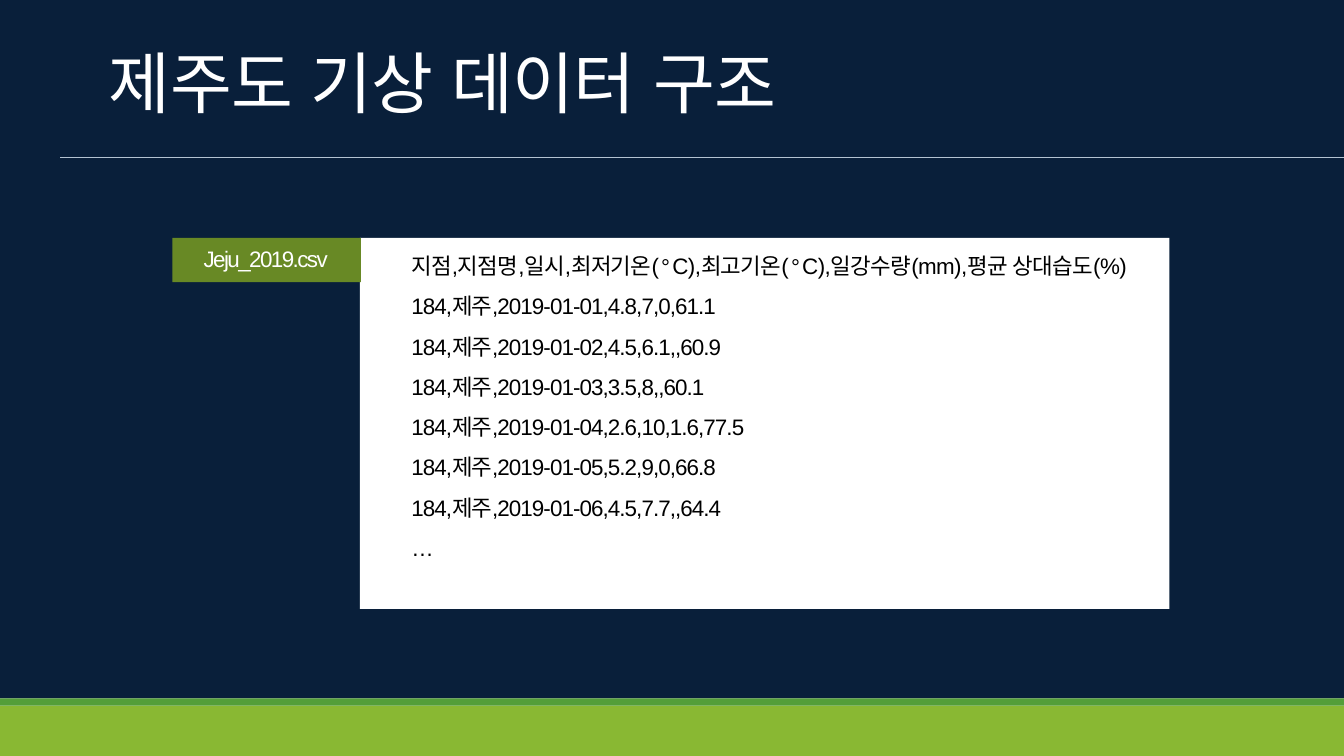
from itertools import cycle

from lxml import etree
from pptx import Presentation
from pptx.dml.color import RGBColor
from pptx.enum.shapes import MSO_CONNECTOR, MSO_SHAPE
from pptx.enum.text import MSO_ANCHOR, MSO_AUTO_SIZE, PP_ALIGN
from pptx.oxml.ns import qn
from pptx.util import Inches, Pt

RECTANGLE = MSO_SHAPE.RECTANGLE
STRAIGHT = MSO_CONNECTOR.STRAIGHT
TOP = MSO_ANCHOR.TOP
LEFT = PP_ALIGN.LEFT
NO_RESIZE = MSO_AUTO_SIZE.NONE
TITLE_ONLY = 5

COLORS = {
    "navy": "091F3A",
    "lime": "89B833",
    "green": "539E39",
    "olive": "688925",
    "rule": "B4C3D2",
    "white": "FFFFFF",
    "black": "000000",
}
KOREAN, LATIN = "Courier New", "Arial"

HEADER = [
    "지점", ",", "지점명", ",", "일시", ",", "최저기온", "(", "°", "C),",
    "최고기온", "(", "°", "C),", "일강수량", "(mm),", "평균 상대습도", "(%)",
]
RECORDS = [
    "2019-01-01,4.8,7,0,61.1",
    "2019-01-02,4.5,6.1,,60.9",
    "2019-01-03,3.5,8,,60.1",
    "2019-01-04,2.6,10,1.6,77.5",
    "2019-01-05,5.2,9,0,66.8",
    "2019-01-06,4.5,7.7,,64.4",
]


class SlideBuilder:
    def __init__(self, deck):
        self.page = deck.slides.add_slide(deck.slide_layouts[TITLE_ONLY])

    def color(self, name):
        return RGBColor.from_string(COLORS[name])

    def box(self, left, top, width, height, fill, inset=0):
        shape = self.page.shapes.add_shape(
            RECTANGLE, Inches(left), Inches(top), Inches(width), Inches(height)
        )
        shape.shadow.inherit = False
        shape.fill.solid()
        shape.fill.fore_color.rgb = self.color(fill)
        shape.line.fill.background()
        self.frame(shape, inset)
        return shape

    def frame(self, shape, inset):
        frame = shape.text_frame
        frame.word_wrap = True
        frame.auto_size = NO_RESIZE
        frame.vertical_anchor = TOP
        frame.margin_left = frame.margin_right = frame.margin_bottom = 0
        frame.margin_top = Inches(inset)

    def rule(self, left, right, top, color, weight):
        line = self.page.shapes.add_connector(
            STRAIGHT, Inches(left), Inches(top), Inches(right), Inches(top)
        )
        line.line.color.rgb = self.color(color)
        line.line.width = Pt(weight)
        etree.SubElement(line._element.spPr, qn("a:effectLst"))

    def title(self, left, top, width, height, text):
        shape = self.page.shapes.title
        shape.left, shape.top = Inches(left), Inches(top)
        shape.width, shape.height = Inches(width), Inches(height)
        self.page.shapes._spTree.append(shape._element)
        self.frame(shape, 0.01)
        self.para(shape, [(text, KOREAN)], 48, "white", -0.4, 0.01, 1)

    def para(self, shape, runs, size, color, tracking, indent, before):
        frame = shape.text_frame
        para = frame.paragraphs[0] if not frame.text else frame.add_paragraph()
        para.alignment = LEFT
        para.space_before = Pt(before)
        properties = para._p.get_or_add_pPr()
        properties.set("marL", str(Inches(indent)))
        properties.set("indent", "0")
        for text, typeface in runs:
            span = para.add_run()
            span.text = text
            span.font.name = typeface
            span.font.size = Pt(size)
            span.font.color.rgb = self.color(color)
            style = span._r.get_or_add_rPr()
            style.set("spc", str(round(tracking * 100)))
            etree.SubElement(style, qn("a:ea")).set("typeface", LATIN)


def main():
    deck = Presentation()
    deck.slide_width, deck.slide_height = Inches(13.33), Inches(7.5)
    slide = SlideBuilder(deck)

    slide.box(0, 0, 13.33, 6.93, "navy")
    slide.box(0, 7, 13.33, 0.5, "lime")
    slide.box(0, 6.93, 13.33, 0.07, "green")
    slide.title(1.07, 0.4, 7.06, 0.83, "제주도 기상 데이터 구조")
    slide.rule(0.6, 13.33, 1.56, "rule", 0.48)

    data = slide.box(3.57, 2.36, 8.03, 3.68, "white", 0.14)
    slide.para(data, zip(HEADER, cycle((KOREAN, LATIN))), 16, "black", -0.4, 0.51, 10)
    for record in RECORDS:
        runs = [("184,", LATIN), ("제주", KOREAN), ("," + record, LATIN)]
        slide.para(data, runs, 16, "black", -0.65, 0.51, 9.6)
    slide.para(data, [("…", LATIN)], 16, "black", -5, 0.51, 9.6)

    label = slide.box(1.71, 2.36, 1.87, 0.44, "olive", 0.07)
    slide.para(label, [("Jeju_2019.csv", LATIN)], 16, "white", -1.1, 0.31, 5.3)

    deck.save("out.pptx")


if __name__ == "__main__":
    main()
